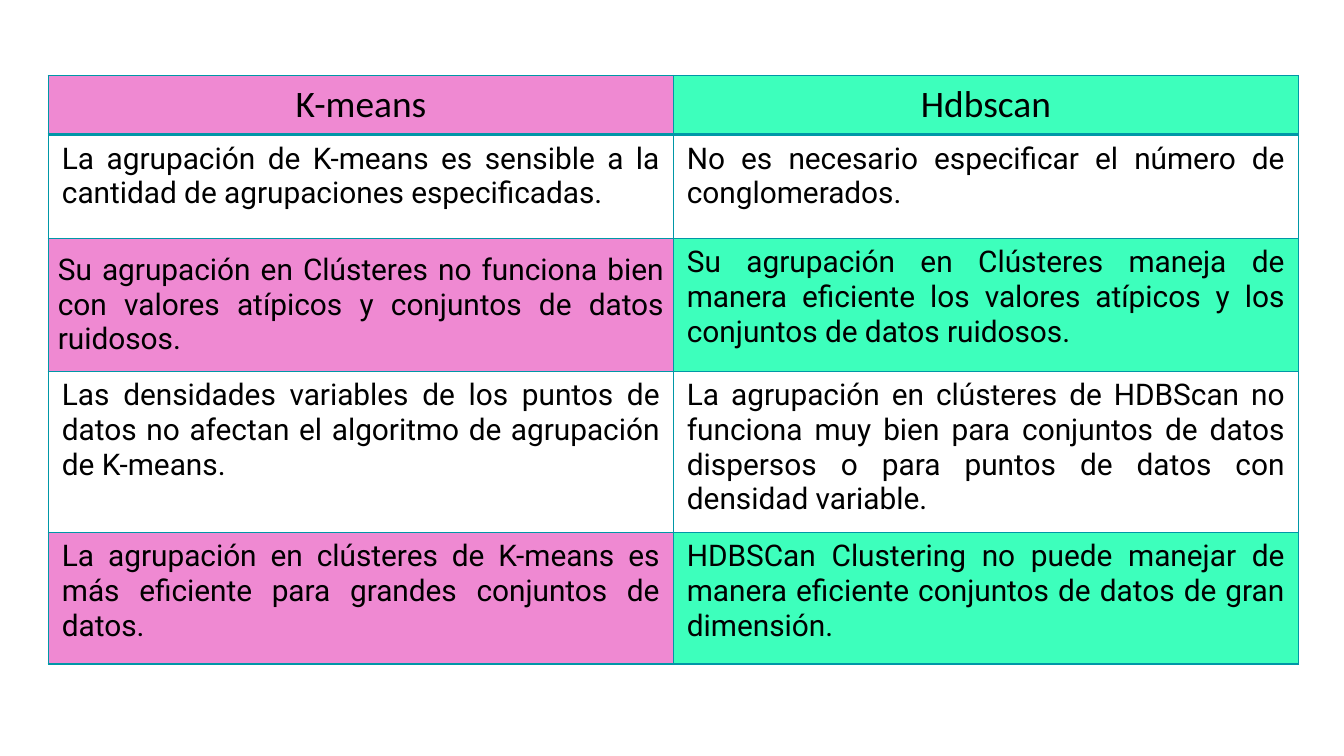
"""Build a slide with a table comparing K-means and HDBSCAN clustering."""
from lxml import etree
from pptx import Presentation
from pptx.dml.color import RGBColor
from pptx.enum import text
from pptx.oxml import ns
from pptx.util import Pt

ROWS = [
    ("K-means", "Hdbscan"),
    ("La agrupación de K-means es sensible a la cantidad de agrupaciones especificadas.",
     "No es necesario especificar el número de conglomerados."),
    ("Su agrupación en Clústeres no funciona bien con valores atípicos y conjuntos de datos ruidosos.",
     "Su agrupación en Clústeres maneja de manera eficiente los valores atípicos y los conjuntos "
     "de datos ruidosos."),
    ("Las densidades variables de los puntos de datos no afectan el algoritmo de agrupación de K-means.",
     "La agrupación en clústeres de HDBScan no funciona muy bien para conjuntos de datos dispersos "
     "o para puntos de datos con densidad variable."),
    ("La agrupación en clústeres de K-means es más eficiente para grandes conjuntos de datos.",
     "HDBSCan Clustering no puede manejar de manera eficiente conjuntos de datos de gran dimensión."),
]
ROW_HEIGHTS = [31, 55.5, 71.3, 86.3, 70.5]
COLUMN_WIDTH = 334.8
LEFT, TOP = 26, 40.5
PADDED_CELL = (2, 0)

THEME = {
    "columns": ["EF89D2", "3DFFBC"],
    "plain": "FFFFFF",
    "border": "0097A7",
    "header": {"name": "Calibri", "size": Pt(20)},
    "body": {"name": "Roboto", "size": Pt(16)},
    "ink": "000000",
}
STANDARD = {"margin_left": Pt(7.2), "margin_right": Pt(7.2), "margin_top": Pt(3.6),
            "margin_bottom": Pt(3.6), "vertical_anchor": text.MSO_ANCHOR.TOP}
PADDED = {"margin_left": Pt(5), "margin_right": Pt(5), "margin_top": Pt(7.2),
          "margin_bottom": Pt(7.2), "vertical_anchor": text.MSO_ANCHOR.MIDDLE}


def apply(target, values):
    for name, value in values.items():
        setattr(target, name, value)


def add_borders(cell, widths):
    properties = cell._tc.get_or_add_tcPr()
    for index, (side, width) in enumerate(widths.items()):
        line = etree.Element(ns.qn(f"a:ln{side}"), w=str(Pt(width)))
        fill = etree.SubElement(line, ns.qn("a:solidFill"))
        etree.SubElement(fill, ns.qn("a:srgbClr"), val=THEME["border"])
        properties.insert(index, line)


def fill_cell(cell, row, column, words):
    header = row == 0
    apply(cell, PADDED if (row, column) == PADDED_CELL else STANDARD)
    cell.fill.solid()
    color = THEME["columns"][column] if row % 2 == 0 else THEME["plain"]
    cell.fill.fore_color.rgb = RGBColor.from_string(color)
    add_borders(cell, {"L": 1, "R": 1, "T": 2 if row == 1 else 1, "B": 2 if header else 1})
    para = cell.text_frame.paragraphs[0]
    para.alignment = text.PP_ALIGN.CENTER if header else text.PP_ALIGN.JUSTIFY
    span = para.add_run()
    span.text = words
    apply(span.font, {**THEME["header" if header else "body"], "bold": False})
    span.font.color.rgb = RGBColor.from_string(THEME["ink"])


def main():
    deck = Presentation()
    apply(deck, {"slide_width": Pt(720), "slide_height": Pt(405)})
    page = deck.slides.add_slide(deck.slide_layouts[6])
    columns = len(THEME["columns"])
    table = page.shapes.add_table(len(ROWS), columns, Pt(LEFT), Pt(TOP),
                                  Pt(columns * COLUMN_WIDTH), Pt(sum(ROW_HEIGHTS))).table
    apply(table, {"first_row": False, "horz_banding": False})
    for column in table.columns:
        column.width = Pt(COLUMN_WIDTH)
    for row, (height, entries) in enumerate(zip(ROW_HEIGHTS, ROWS)):
        table.rows[row].height = Pt(height)
        for column, words in enumerate(entries):
            fill_cell(table.cell(row, column), row, column, words)
    deck.save("out.pptx")


if __name__ == "__main__":
    main()
